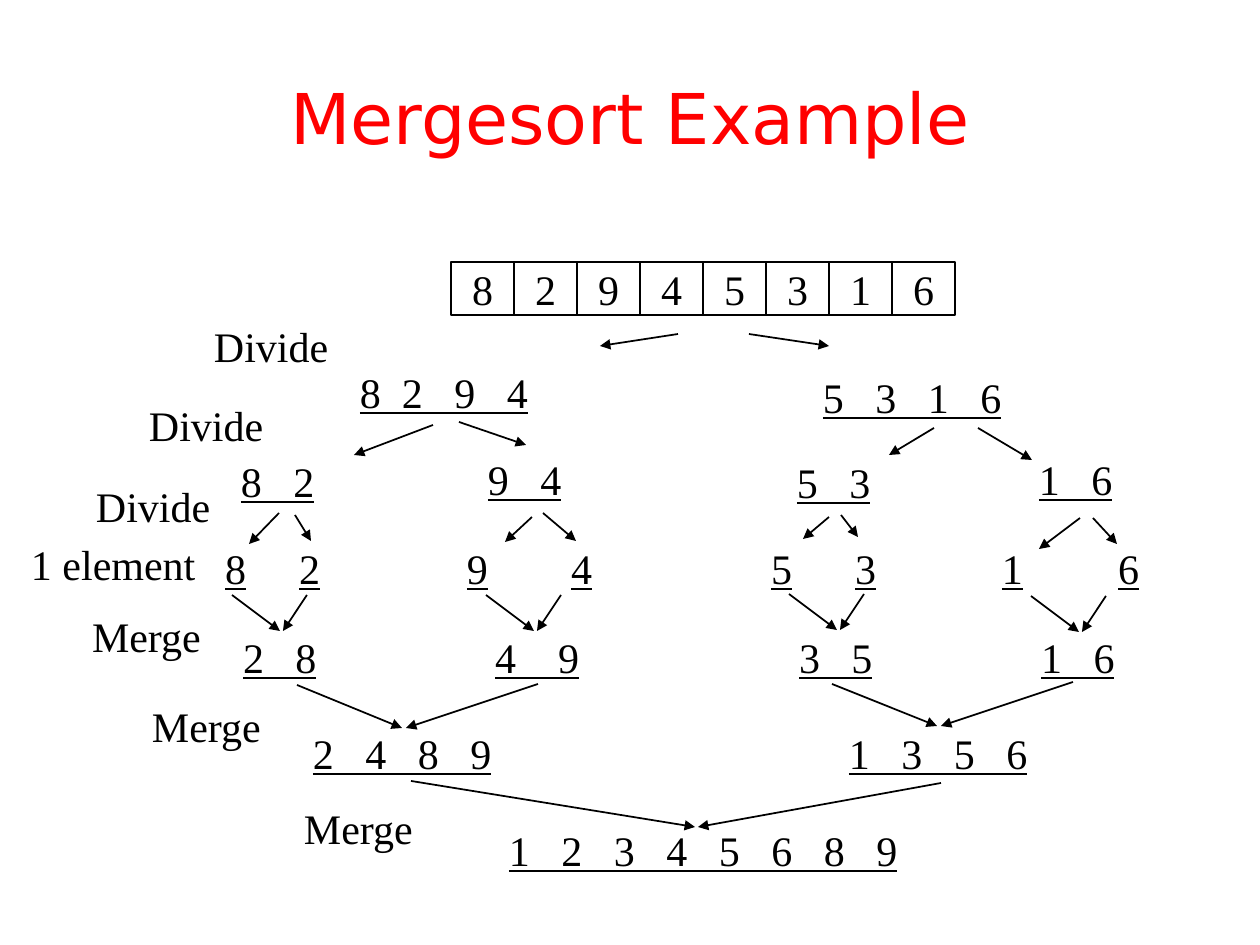
"""Build the Mergesort Example slide with its divide and merge tree."""
from dataclasses import dataclass

from lxml import etree
from pptx import Presentation
from pptx.dml.color import RGBColor
from pptx.enum.shapes import MSO_CONNECTOR, MSO_SHAPE
from pptx.enum.text import MSO_ANCHOR, PP_ALIGN
from pptx.oxml.ns import qn
from pptx.util import Emu, Pt

STRAIGHT = MSO_CONNECTOR.STRAIGHT
RECTANGLE = MSO_SHAPE.RECTANGLE
MIDDLE = MSO_ANCHOR.MIDDLE
CENTER = PP_ALIGN.CENTER
PX = 914400 / 126


@dataclass
class Theme:
    ink: RGBColor = RGBColor(0, 0, 0)
    accent: RGBColor = RGBColor(255, 0, 0)
    title_font: str = "DejaVu Sans"
    body_font: str = "Times New Roman"
    title_size: int = 40
    body_size: int = 24
    arrow_width: float = 1
    cell_width: float = 0.75


theme = Theme()


def px(*lengths):
    return [Emu(round(length * PX)) for length in lengths]


def add_row(left, top, width, pieces, underline):
    box = page.shapes.add_textbox(*px(left, top, width, 63))
    frame = box.text_frame
    frame.word_wrap = True
    first = pieces[0][0]
    frame.margin_left, frame.margin_right = px(first - left, 0)
    para = frame.paragraphs[0]
    if len(pieces) > 1:
        stops = etree.SubElement(para._p.get_or_add_pPr(), qn("a:tabLst"))
        for start, _ in pieces[1:]:
            position = px(start - first)[0]
            etree.SubElement(stops, qn("a:tab"), pos=str(position), algn="l")
    para.font.name = theme.body_font
    para.font.size = Pt(theme.body_size)
    para.font.color.rgb = theme.ink
    for index, (_, words) in enumerate(pieces):
        if index:
            para.add_run().text = "\t"
        span = para.add_run()
        span.text = words
        span.font.underline = underline


deck = Presentation()
deck.slide_width, deck.slide_height = px(1260, 945)
page = deck.slides.add_slide(deck.slide_layouts[6])

title = page.shapes.add_textbox(*px(63, 38, 1134, 158))
title.text_frame.word_wrap = True
title.text_frame.vertical_anchor = MIDDLE
para = title.text_frame.paragraphs[0]
para.text = "Mergesort Example"
para.alignment = CENTER
para.font.name = theme.title_font
para.font.size = Pt(theme.title_size)
para.font.color.rgb = theme.accent

number_rows = [
    (348, 360, 193, [(360, "8  2   9   4")]),
    (811, 365, 204, [(823, "5   3   1   6")]),
    (228, 449, 98, [(241, "8   2")]),
    (1027, 447, 98, [(1039, "1   6")]),
    (476, 447, 98, [(488, "9   4")]),
    (785, 450, 98, [(797, "5   3")]),
    (213, 536, 939, [(225, "8"), (299, "2"), (467, "9"), (571, "4"),
                     (771, "5"), (855, "3"), (1002, "1"), (1118, "6")]),
    (199, 625, 929, [(243, "2   8"), (495, "4    9"), (799, "3   5"), (1041, "1   6")]),
    (217, 721, 823, [(313, "2   4   8   9"), (849, "1   3   5   6")]),
    (412, 818, 498, [(509, "1   2   3   4   5   6   8   9")]),
]
for left, top, width, pieces in number_rows:
    add_row(left, top, width, pieces, True)

divide_arrows = [
    (678, 334, 600, 346), (749, 334, 829, 346),
    (433, 425, 354, 455), (459, 422, 526, 445),
    (934, 428, 889, 455), (978, 428, 1032, 460),
    (279, 513, 249, 544), (295, 515, 311, 541),
    (532, 517, 505, 542), (543, 513, 576, 541),
    (829, 517, 803, 539), (841, 515, 858, 537),
    (1080, 518, 1039, 549), (1093, 518, 1117, 544),
]
pair_arrows = [
    (x1 + right, 595 + down, x2 + right, 631 + down)
    for right, down in [(0, 0), (254, 0), (557, -1), (799, 1)]
    for x1, x2 in [(232, 280), (307, 283)]
]
merge_arrows = [
    (297, 685, 402, 728), (538, 684, 406, 728),
    (832, 684, 937, 726), (1073, 682, 941, 726),
    (411, 781, 695, 827), (941, 783, 698, 827),
]
for ends in divide_arrows + pair_arrows + merge_arrows:
    arrow = page.shapes.add_connector(STRAIGHT, *px(*ends))
    arrow.line.color.rgb = theme.ink
    arrow.line.width = Pt(theme.arrow_width)
    etree.SubElement(arrow.line._get_or_add_ln(), qn("a:tailEnd"), type="triangle")
    etree.SubElement(arrow._element.spPr, qn("a:effectLst"))

step_labels = [
    (79, 604, 135, "Merge"), (139, 694, 135, "Merge"), (291, 796, 135, "Merge"),
    (201, 314, 140, "Divide"), (136, 393, 140, "Divide"), (83, 474, 140, "Divide"),
    (18, 532, 189, "1 element"),
]
for left, top, width, words in step_labels:
    add_row(left, top, width, [(left + 13, words)], False)

for index, digit in enumerate("82945316"):
    cell = page.shapes.add_shape(RECTANGLE, *px(451 + 63 * index, 262, 63, 53))
    cell.shadow.inherit = False
    cell.fill.background()
    cell.line.color.rgb = theme.ink
    cell.line.width = Pt(theme.cell_width)
    cell.text_frame.word_wrap = False
    cell.text_frame.vertical_anchor = MIDDLE
    para = cell.text_frame.paragraphs[0]
    para.text = digit
    para.alignment = CENTER
    para.font.name = theme.body_font
    para.font.size = Pt(theme.body_size)
    para.font.color.rgb = theme.ink

deck.save("out.pptx")
